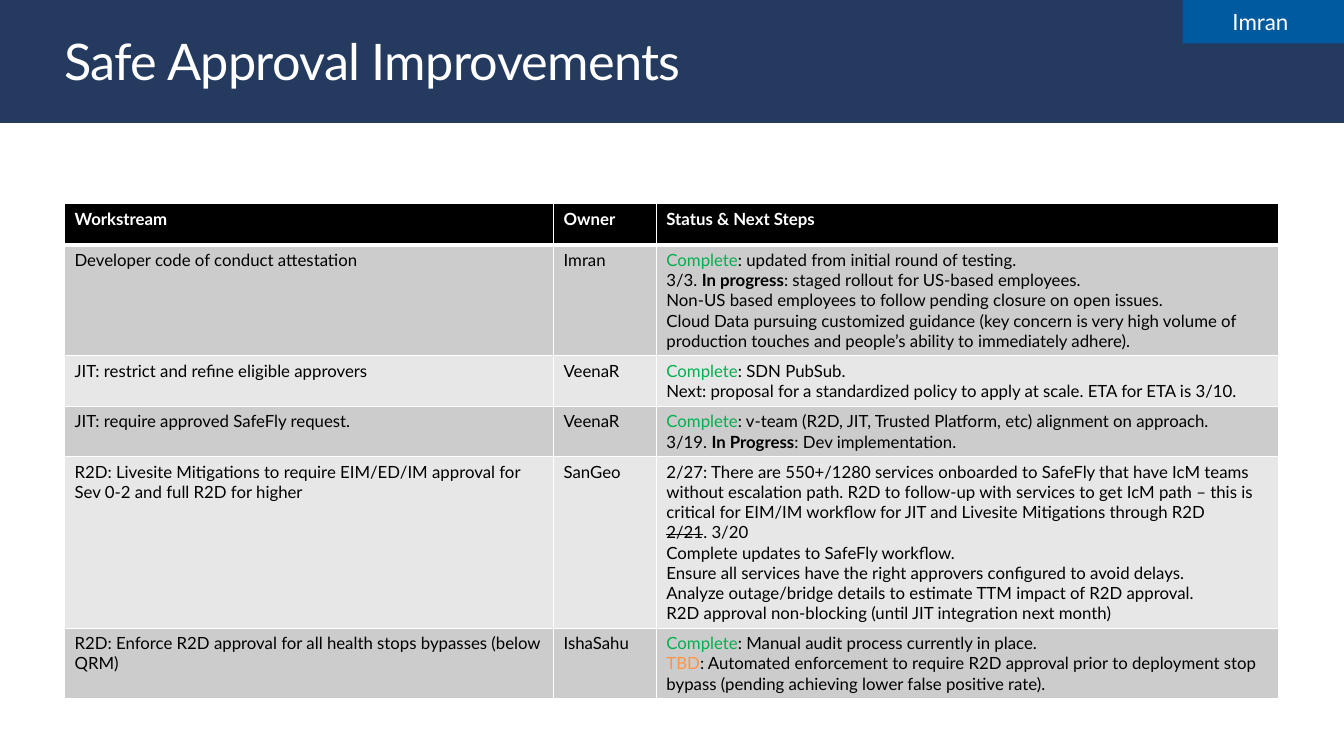
from lxml.etree import SubElement as Sub
from pptx import Presentation
from pptx.dml.color import RGBColor as Rgb
from pptx.enum.shapes import MSO_SHAPE as Form
from pptx.enum.text import MSO_ANCHOR as Anchor, MSO_AUTO_SIZE as Auto, PP_ALIGN as Align
from pptx.oxml.ns import qn
from pptx.util import Inches, Pt

HUES = {
    "white": "FFFFFF", "black": "000000", "navy": "243A5E", "blue": "005A9F",
    "dark": "CCCCCC", "light": "E7E7E7", "green": "00B050", "orange": "FF9349",
}

# A cell is a list of paragraphs, a paragraph a list of (text, style) runs.
DONE = ("Complete", {"hue": "green"})
BOLD = {"bold": True}


def plain(*lines):
    return [[(line, {})] for line in lines]


HEADS = ["Workstream", "Owner", "Status & Next Steps"]
WIDTHS = [4.85, 1.02, 6.17]

# Workstream, owner, status, number of text lines
TASKS = [
    ("Developer code of conduct attestation", "Imran", [
        [DONE, (": updated from initial round of testing.", {})],
        [("3/3. ", {}), ("In progress", BOLD),
         (": staged rollout for US-based employees.", {})],
        *plain("Non-US based employees to follow pending closure on open issues.",
               "Cloud Data pursuing customized guidance (key concern is very high "
               "volume of production touches and people’s ability to immediately "
               "adhere)."),
    ], 5),
    ("JIT: restrict and refine eligible approvers", "VeenaR", [
        [DONE, (": SDN PubSub.", {})],
        *plain("Next: proposal for a standardized policy to apply at scale. "
               "ETA for ETA is 3/10."),
    ], 2),
    ("JIT: require approved SafeFly request.", "VeenaR", [
        [DONE, (": v-team (R2D, JIT, Trusted Platform, etc) alignment on approach.", {})],
        [("3/19. ", {}), ("In Progress", BOLD), (": Dev implementation.", {})],
    ], 2),
    ("R2D: Livesite Mitigations to require EIM/ED/IM approval for Sev 0-2 and "
     "full R2D for higher", "SanGeo", [
        *plain("2/27: There are 550+/1280 services onboarded to SafeFly that have "
               "IcM teams without escalation path. R2D to follow-up with services "
               "to get IcM path – this is critical for EIM/IM workflow for JIT and "
               "Livesite Mitigations through R2D"),
        [("2/21", {"strike": True}), (". 3/20", {})],
        *plain("Complete updates to SafeFly workflow.",
               "Ensure all services have the right approvers configured to avoid delays.",
               "Analyze outage/bridge details to estimate TTM impact of R2D approval.",
               "R2D approval non-blocking (until JIT integration next month)"),
    ], 8),
    ("R2D: Enforce R2D approval for all health stops bypasses (below QRM)",
     "IshaSahu", [
        [DONE, (": Manual audit process currently in place.", {})],
        [("TBD", {"hue": "orange"}),
         (": Automated enforcement to require R2D approval prior to deployment "
          "stop bypass (pending achieving lower false positive rate).", {})],
    ], 3),
]


class Deck:
    font = "Lato"

    def __init__(self):
        self.file = Presentation()
        self.file.slide_width = Inches(13.33)
        self.file.slide_height = Inches(7.5)
        self.slide = self.file.slides.add_slide(self.file.slide_layouts[5])

    def run(self, para, text, size, hue="black", bold=False, strike=False):
        run = para.add_run()
        run.text = text
        font = run.font
        font.name, font.size, font.bold = self.font, Pt(size), bold
        font.color.rgb = Rgb.from_string(HUES[hue])
        if strike:
            run._r.get_or_add_rPr().set("strike", "sngStrike")
        return run

    def title(self, text, x, y, w, h):
        box = self.slide.shapes.title
        box.left, box.top, box.width, box.height = map(Inches, (x, y, w, h))
        frame = box.text_frame
        frame.margin_left = frame.margin_right = 0
        frame.margin_top = frame.margin_bottom = 0
        frame.vertical_anchor = Anchor.MIDDLE
        frame.word_wrap = True
        frame.auto_size = Auto.SHAPE_TO_FIT_TEXT
        para = frame.paragraphs[0]
        para.alignment = Align.LEFT
        run = self.run(para, text, 36, "white")
        run._r.get_or_add_rPr().set("spc", "-50")

    def block(self, x, y, w, h, hue):
        shape = self.slide.shapes.add_shape(Form.RECTANGLE, *map(Inches, (x, y, w, h)))
        shape.shadow.inherit = False
        shape.fill.solid()
        shape.fill.fore_color.rgb = Rgb.from_string(HUES[hue])
        shape.line.fill.background()
        return shape

    def band(self, *area):
        """Draw a block behind everything else on the slide."""
        shape = self.block(*area)
        self.slide.shapes._spTree.insert(2, shape._element)

    def tag(self, text, *area):
        frame = self.block(*area).text_frame
        frame.margin_left = frame.margin_right = Inches(0.2)
        frame.margin_top = frame.margin_bottom = Inches(0.16)
        frame.vertical_anchor = Anchor.MIDDLE
        frame.word_wrap = True
        para = frame.paragraphs[0]
        para.alignment = Align.CENTER
        self.run(para, text, 16, "white")

    def edge(self, cell, side, width):
        line = Sub(cell._tc.get_or_add_tcPr(), qn("a:ln" + side), w=str(Pt(width)))
        fill = Sub(line, qn("a:solidFill"))
        Sub(fill, qn("a:srgbClr"), val=HUES["white"])

    def cell(self, cell, paras, back, head):
        for side in "LRTB":
            thick = (head and side == "B") or (back == "first" and side == "T")
            self.edge(cell, side, 3 if thick else 1)
        cell.fill.solid()
        cell.fill.fore_color.rgb = Rgb.from_string(HUES["dark" if back == "first" else back])
        frame = cell.text_frame
        for i, runs in enumerate(paras):
            para = frame.add_paragraph() if i else frame.paragraphs[0]
            for text, style in runs:
                self.run(para, text, 12, **style)

    def table(self, x, y, widths, heads, tasks):
        highs = [0.41] + [0.1 + 0.2 * task[-1] for task in tasks]
        grid = self.slide.shapes.add_table(
            len(highs), len(widths), Inches(x), Inches(y),
            Inches(sum(widths)), Inches(sum(highs))).table
        for col, width in zip(grid.columns, widths):
            col.width = Inches(width)
        for row, high in zip(grid.rows, highs):
            row.height = Inches(high)
        top = {"hue": "white", "bold": True}
        for c, head in enumerate(heads):
            self.cell(grid.cell(0, c), [[(head, top)]], "black", True)
        for r, (work, owner, status, _) in enumerate(tasks, 1):
            back = "first" if r == 1 else ("dark" if r % 2 else "light")
            for c, paras in enumerate((plain(work), plain(owner), status)):
                self.cell(grid.cell(r, c), paras, back, False)


def main():
    deck = Deck()
    deck.band(0, 0, 13.33, 1.22, "navy")
    deck.title("Safe Approval Improvements", 0.64, 0.29, 12.05, 0.61)
    deck.table(0.64, 2.02, WIDTHS, HEADS, TASKS)
    deck.tag("Imran ", 11.73, 0, 1.6, 0.43, "blue")
    deck.file.save("out.pptx")


if __name__ == "__main__":
    main()
